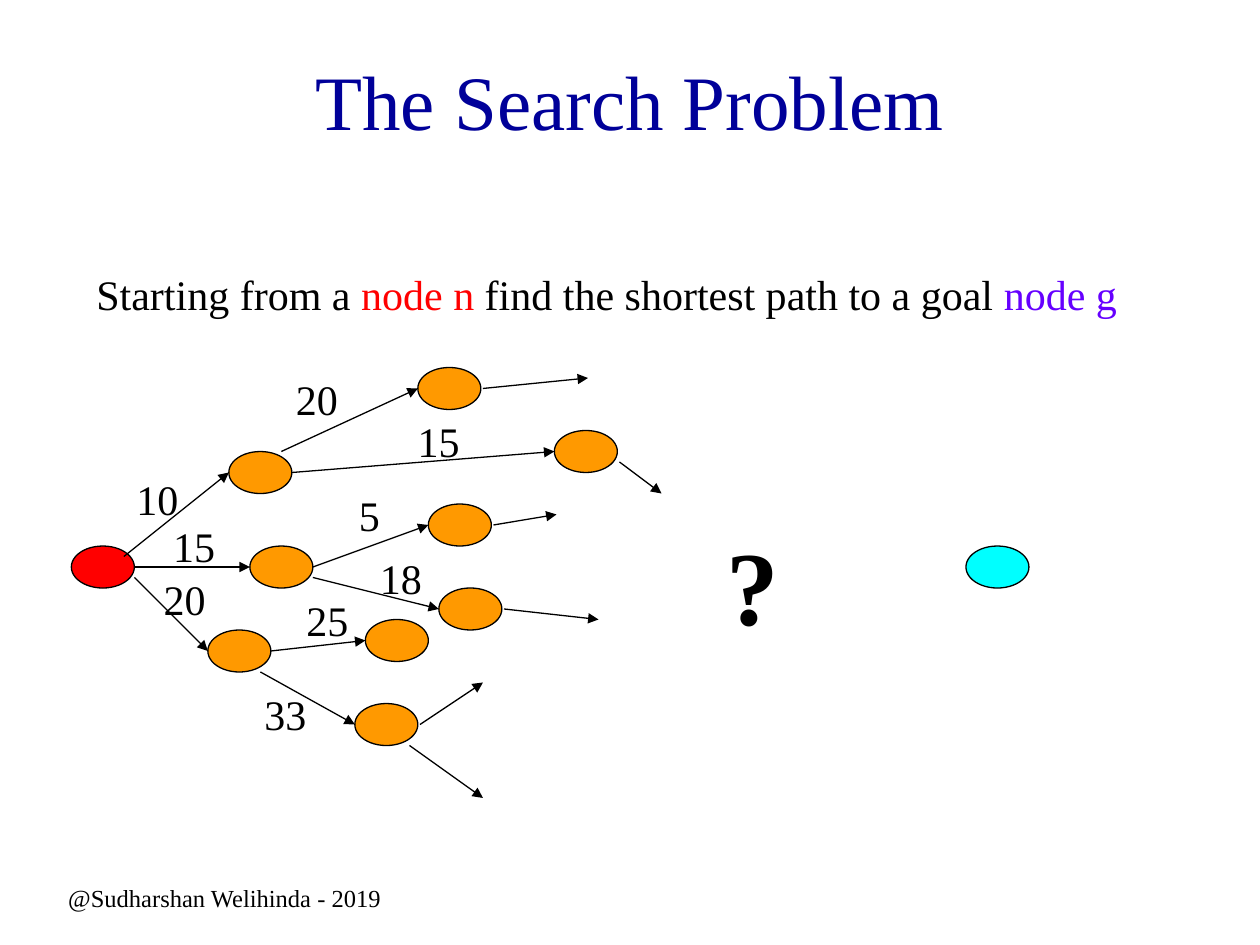
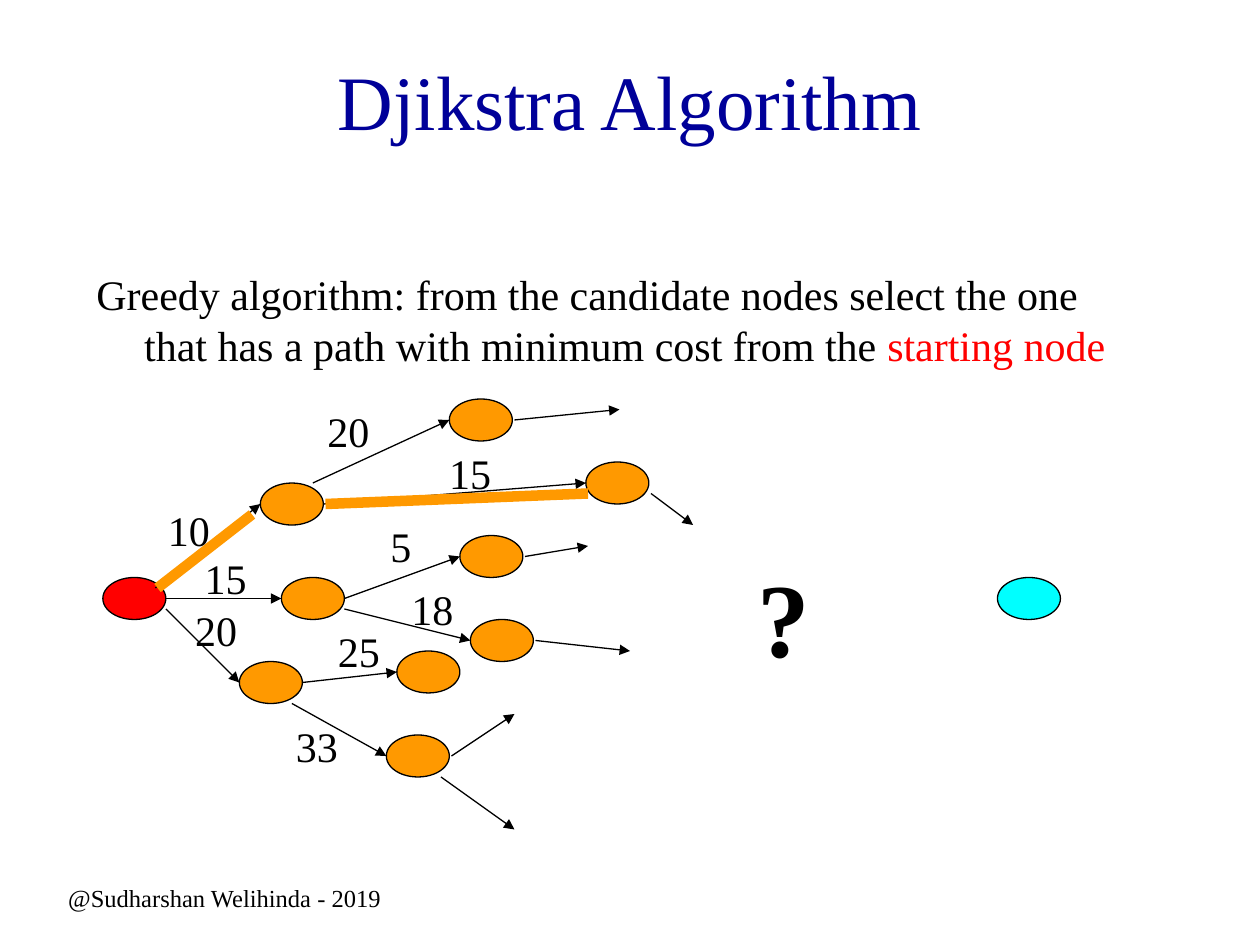
from typing import NamedTuple

import pptx
import pptx.dml.color
import pptx.enum.shapes
import pptx.enum.text
import pptx.oxml
import pptx.util

RGBColor = pptx.dml.color.RGBColor
ALIGN = pptx.enum.text.PP_ALIGN
ANCHOR = pptx.enum.text.MSO_ANCHOR
Pt = pptx.util.Pt

BLACK = RGBColor(0x00, 0x00, 0x00)
NAVY = RGBColor(0x00, 0x00, 0x99)
RED = RGBColor(0xFF, 0x00, 0x00)
VIOLET = RGBColor(0x66, 0x00, 0xFF)
CYAN = RGBColor(0x00, 0xFF, 0xFF)
ORANGE = RGBColor(0xFF, 0x99, 0x00)

FONT = "Times New Roman"
FOOTER = "@Sudharshan Welihinda - 2019"

# The slide is a grid of 120 columns by 90 rows, twelve cells to the inch.
CELL = pptx.util.Inches(1) / 12
COLS, ROWS = 120, 90
NODE_W, NODE_H = 6, 4


class Point(NamedTuple):
    col: float
    row: float

    def plus(self, other: "Point") -> "Point":
        return Point(self.col + other.col, self.row + other.row)


class Box(NamedTuple):
    col: float
    row: float
    width: float
    height: float


class Run(NamedTuple):
    text: str
    color: RGBColor = BLACK


class Node(NamedTuple):
    at: Point
    color: RGBColor = ORANGE


class Edge(NamedTuple):
    """An arrow from a point on one node to the left side of the next."""
    tail: str
    leave: Point
    head: str


class OpenArrow(NamedTuple):
    """An arrow that leaves a node towards a part not explored yet."""
    tail: str
    leave: Point
    reach: Point


class Cost(NamedTuple):
    text: str
    at: Point


class Highlight(NamedTuple):
    tail: str
    leave: Point
    head: str
    arrive: Point


class GraphSlide(NamedTuple):
    title: str
    body: list[Run]
    origin: Point
    highlights: list[Highlight]


TITLE_BOX = Box(9, 2, 102, 15)
BODY_BOX = Box(8, 25, 102, 54)
FOOTER_BOX = Box(2.4, 82.5, 38, 6)
COST_W, COST_H = 6.4, 6
QUESTION_AT = Point(61.2, -3)
QUESTION_W, QUESTION_H = 7.3, 13.2

# Places in the graph are counted from the top left of the start node.
NODES = {
    "start": Node(Point(0, 0), RED),
    "goal": Node(Point(85.2, 0), CYAN),
    "upper": Node(Point(15, -9)),
    "middle": Node(Point(17, 0)),
    "lower": Node(Point(13, 8)),
    "upper near": Node(Point(33, -17)),
    "upper far": Node(Point(46, -11)),
    "middle high": Node(Point(34, -4)),
    "middle low": Node(Point(35, 4)),
    "lower high": Node(Point(28, 7)),
    "lower low": Node(Point(27, 15)),
}
LEFT = Point(0, NODE_H / 2)
RIGHT = Point(NODE_W, NODE_H / 2)
RIGHT_GAP = Point(NODE_W + 0.2, NODE_H / 2)

EDGES = [
    Edge("start", Point(5, 1), "upper"),
    Edge("start", RIGHT, "middle"),
    Edge("start", Point(6, 3), "lower"),
    Edge("upper", Point(5, 0), "upper near"),
    Edge("upper", RIGHT, "upper far"),
    Edge("middle", RIGHT, "middle high"),
    Edge("middle", Point(6, 3), "middle low"),
    Edge("lower", RIGHT, "lower high"),
    Edge("lower", Point(5, 4), "lower low"),
]
OPEN_ARROWS = [
    OpenArrow("upper near", RIGHT_GAP, Point(10, -1)),
    OpenArrow("upper far", Point(6.2, 3), Point(4, 3)),
    OpenArrow("middle high", RIGHT_GAP, Point(6, -1)),
    OpenArrow("middle low", RIGHT_GAP, Point(9, 1)),
    OpenArrow("lower low", RIGHT_GAP, Point(6, -4)),
    OpenArrow("lower low", Point(5.2, 4), Point(7, 5)),
]
COSTS = [
    Cost("10", Point(5, -7.5)),
    Cost("15", Point(8.5, -3)),
    Cost("20", Point(7.6, 2)),
    Cost("20", Point(20.2, -17)),
    Cost("15", Point(31.8, -13)),
    Cost("5", Point(26.2, -6)),
    Cost("18", Point(28.2, 0)),
    Cost("25", Point(21.2, 4)),
    Cost("33", Point(17.2, 13)),
]

SLIDES = [
    GraphSlide(
        "The Search Problem",
        [Run("Starting from a "), Run("node n", RED),
         Run(" find the shortest path to a goal "), Run("node g", VIOLET)],
        Point(6.8, 52),
        [],
    ),
    GraphSlide(
        "Djikstra Algorithm",
        [Run("Greedy algorithm: from the candidate nodes select the one that has "
             "a path with minimum cost from the "), Run("starting node", RED)],
        Point(9.8, 55),
        [Highlight("start", Point(5.2, 1), "upper", Point(-0.8, 3)),
         Highlight("upper", RIGHT_GAP, "upper far", Point(0.2, 3))],
    ),
]


def cells(*counts: float) -> list[int]:
    """Turn counts of grid cells into lengths."""
    return [round(n * CELL) for n in counts]


def set_all(target: object, values: dict) -> None:
    for name, value in values.items():
        setattr(target, name, value)


def add_text(slide, box: Box, runs: list[Run], size: float, bold: bool = False,
             frame: dict | None = None, para: dict | None = None):
    tf = slide.shapes.add_textbox(*cells(*box)).text_frame
    set_all(tf, {"word_wrap": True, **(frame or {})})
    p = tf.paragraphs[0]
    set_all(p, para or {})
    for run in runs:
        r = p.add_run()
        r.text = run.text
        set_all(r.font, {"name": FONT, "size": Pt(size), "bold": bold})
        r.font.color.rgb = run.color
    return p


def add_line(slide, start: Point, end: Point, color: RGBColor = BLACK,
             width: float = 0.75, arrow: bool = True) -> None:
    straight = pptx.enum.shapes.MSO_CONNECTOR.STRAIGHT
    sp = slide.shapes.add_connector(straight, *cells(*start, *end))
    sp.line.color.rgb = color
    sp.line.width = Pt(width)
    if arrow:
        ln = sp.line._get_or_add_ln()
        tail = pptx.oxml.ns.qn("a:tailEnd")
        ln.append(ln.makeelement(tail, {"type": "triangle"}))
    props = sp._element.spPr
    props.append(props.makeelement(pptx.oxml.ns.qn("a:effectLst"), {}))


def add_node(slide, origin: Point, node: Node) -> None:
    oval = pptx.enum.shapes.MSO_SHAPE.OVAL
    at = origin.plus(node.at)
    sp = slide.shapes.add_shape(oval, *cells(*at, NODE_W, NODE_H))
    sp.shadow.inherit = False
    sp.fill.solid()
    sp.fill.fore_color.rgb = node.color
    sp.line.color.rgb = BLACK
    sp.line.width = Pt(0.75)


def add_graph(slide, origin: Point, highlights: list[Highlight]) -> None:
    def on_node(name: str, offset: Point) -> Point:
        return origin.plus(NODES[name].at).plus(offset)

    for node in NODES.values():
        add_node(slide, origin, node)
    for edge in EDGES:
        add_line(slide, on_node(edge.tail, edge.leave), on_node(edge.head, LEFT))
    for arrow in OPEN_ARROWS:
        start = on_node(arrow.tail, arrow.leave)
        add_line(slide, start, start.plus(arrow.reach))
    for cost in COSTS:
        box = Box(*origin.plus(cost.at), COST_W, COST_H)
        add_text(slide, box, [Run(cost.text)], 24, frame={"word_wrap": False})
    box = Box(*origin.plus(QUESTION_AT), QUESTION_W, QUESTION_H)
    add_text(slide, box, [Run("?")], 60, bold=True, frame={"word_wrap": False})
    for mark in highlights:
        add_line(slide, on_node(mark.tail, mark.leave),
                 on_node(mark.head, mark.arrive), ORANGE, 6, arrow=False)


def add_slide(prs, content: GraphSlide) -> None:
    slide = prs.slides.add_slide(prs.slide_layouts[6])
    middle = {"vertical_anchor": ANCHOR.MIDDLE}
    centred = {"alignment": ALIGN.CENTER}
    add_text(slide, TITLE_BOX, [Run(content.title, NAVY)], 44,
             frame=middle, para=centred)
    p = add_text(slide, BODY_BOX, content.body, 24,
                 para={"space_before": Pt(6)})
    hanging = pptx.util.Inches(0.38)
    p_pr = p._p.get_or_add_pPr()
    p_pr.set("marL", str(hanging))
    p_pr.set("indent", str(-hanging))
    add_graph(slide, content.origin, content.highlights)
    add_text(slide, FOOTER_BOX, [Run(FOOTER)], 14,
             frame={**middle, "word_wrap": False}, para=centred)


def main() -> None:
    prs = pptx.Presentation()
    prs.slide_width, prs.slide_height = cells(COLS, ROWS)
    for content in SLIDES:
        add_slide(prs, content)
    prs.save("out.pptx")


if __name__ == "__main__":
    main()
